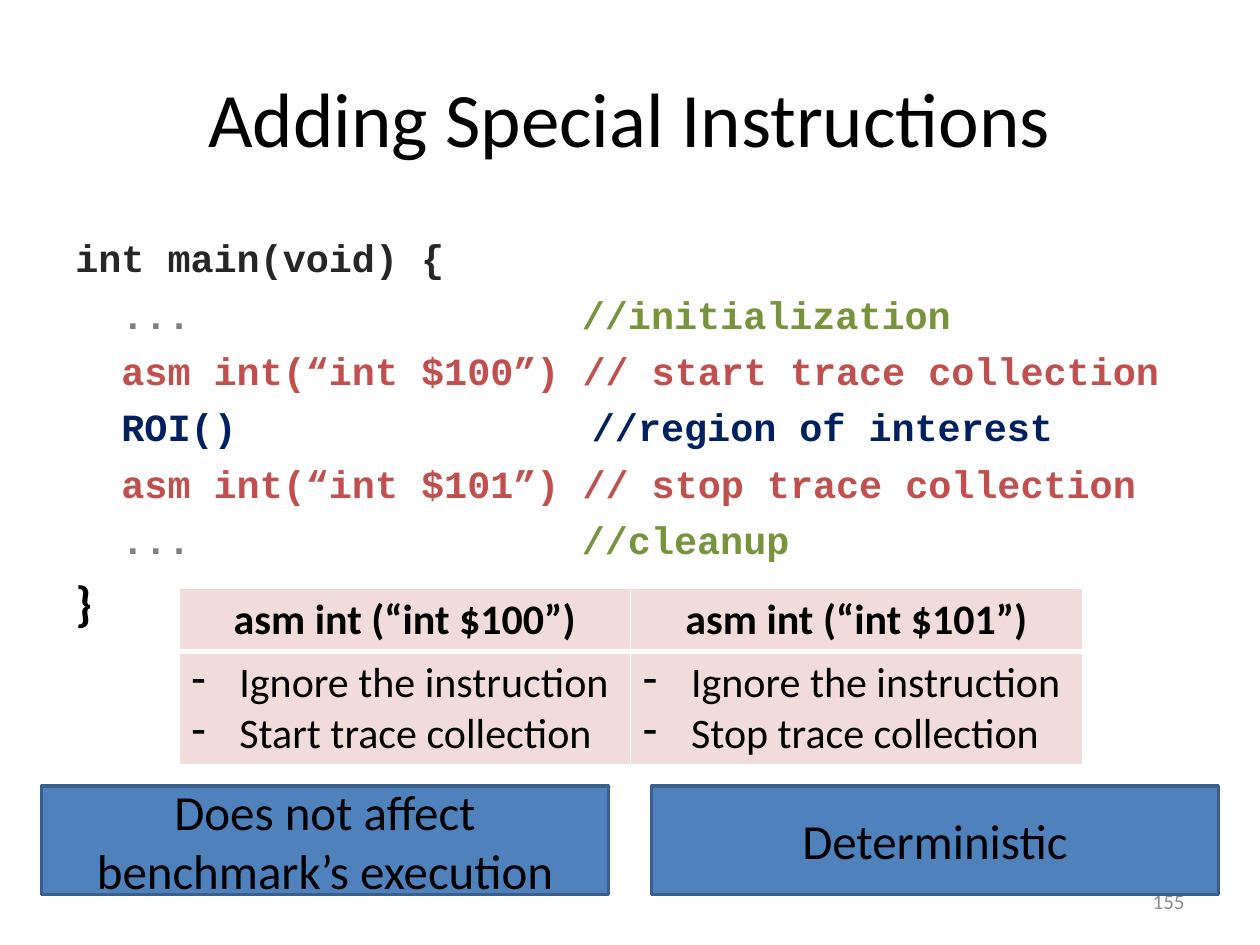
import pptx
import pptx.dml.color
import pptx.enum.shapes
import pptx.enum.text
import pptx.oxml.ns
import pptx.util
from lxml import etree

Inches = pptx.util.Inches
Pt = pptx.util.Pt
ALIGN = pptx.enum.text.PP_ALIGN
MIDDLE = pptx.enum.text.MSO_ANCHOR.MIDDLE

BLACK, CODE, GREY, GREEN = "000000", "262626", "808080", "77933C"
RED, NAVY, PINK, BLUE = "C0504D", "002060", "F2DCDB", "4F81BD"

CODE_LINES = [
    ([("int main(void) {", CODE)], None),
    ([("  ...\t", GREY), ("//initialization", GREEN)], 4.02),
    ([("  asm int(“int $100”) // start trace collection", RED)], None),
    ([("  ROI()\t//region of interest", NAVY)], 4.1),
    ([("  asm int(“int $101”) // stop trace collection", RED)], None),
    ([("  ...\t", GREY), ("//cleanup", GREEN)], 4.02),
    ([("}", BLACK)], None),
]
INSTRUCTIONS = [
    ("asm int (“int $100”)", ["Ignore the instruction", "Start trace collection"]),
    ("asm int (“int $101”)", ["Ignore the instruction", "Stop trace collection"]),
]
PROPERTIES = ["Does not affect benchmark’s execution", "Deterministic"]


def rgb(colour):
    """Turn a hex string into a colour."""
    return pptx.dml.color.RGBColor.from_string(colour)


def add_element(parent, tag, **attributes):
    """Append a DrawingML element to its parent."""
    return etree.SubElement(parent, pptx.oxml.ns.qn(tag), attributes)


def style(font, size, colour=BLACK, name="Calibri", bold=False):
    """Set the size, colour, family and weight of a font."""
    font.size = Pt(size)
    font.name = name
    font.bold = bold
    font.color.rgb = rgb(colour)


def write_title(slide, box, title):
    """Move and format the title placeholder."""
    heading = slide.shapes.title
    heading.left, heading.top, heading.width, heading.height = map(Inches, box)
    frame = heading.text_frame
    frame.text = title
    frame.vertical_anchor = MIDDLE
    frame.paragraphs[0].alignment = ALIGN.CENTER
    style(frame.paragraphs[0].runs[0].font, 44)


def add_listing(slide, box, lines):
    """Place the code listing with its comments on tab stops."""
    frame = slide.shapes.add_textbox(*map(Inches, box)).text_frame
    frame.word_wrap = True
    frame.margin_top = Inches(0.11)
    for index, (pieces, comment_stop) in enumerate(lines):
        line = frame.paragraphs[0] if index == 0 else frame.add_paragraph()
        if index:
            line.space_before = Pt(5.8)
        if comment_stop:
            tabs = add_element(line._p.get_or_add_pPr(), "a:tabLst")
            add_element(tabs, "a:tab", pos=str(Inches(comment_stop)), algn="l")
        for text, colour in pieces:
            piece = line.add_run()
            piece.text = text
            style(piece.font, 22, colour, "Courier New", True)
    style(frame.paragraphs[-1].runs[0].font, 28, bold=True)


def add_page_number(slide, box, number):
    """Place the page number at the lower right."""
    frame = slide.shapes.add_textbox(*map(Inches, box)).text_frame
    frame.word_wrap = True
    frame.vertical_anchor = MIDDLE
    frame.text = number
    frame.paragraphs[0].alignment = ALIGN.RIGHT
    style(frame.paragraphs[0].runs[0].font, 12, "8C8C8C")


def format_cell(cell, top_width, bottom_width):
    """Give a cell white borders and a pink fill."""
    properties = cell._tc.get_or_add_tcPr()
    widths = {"a:lnL": 1, "a:lnR": 1, "a:lnT": top_width, "a:lnB": bottom_width}
    for side, width in widths.items():
        border = add_element(properties, side, w=str(Pt(width)))
        add_element(add_element(border, "a:solidFill"), "a:srgbClr", val="FFFFFF")
    cell.fill.solid()
    cell.fill.fore_color.rgb = rgb(PINK)


def add_instruction_table(slide, box, instructions):
    """Place the table that explains each special instruction."""
    left, top, width, height = box
    table = slide.shapes.add_table(2, len(instructions), *map(Inches, box)).table
    table.horz_banding = False
    table.first_row = False
    header_height = 0.5
    table.rows[0].height = Inches(header_height)
    table.rows[1].height = Inches(height - header_height)
    for column, (name, actions) in enumerate(instructions):
        table.columns[column].width = Inches(width / len(instructions))
        header, body = table.cell(0, column), table.cell(1, column)
        format_cell(header, 1, 3)
        format_cell(body, 3, 1)
        header.text_frame.text = name
        header.text_frame.paragraphs[0].alignment = ALIGN.CENTER
        style(header.text_frame.paragraphs[0].runs[0].font, 24, bold=True)
        body.text_frame.text = "\n".join(actions)
        for action in body.text_frame.paragraphs:
            properties = action._p.get_or_add_pPr()
            properties.set("marL", str(Inches(0.38)))
            properties.set("indent", str(-Inches(0.38)))
            add_element(properties, "a:buChar", char="-")
            style(action.runs[0].font, 24)


def add_property_boxes(slide, box, properties, gap):
    """Place equal boxes side by side, one for each property."""
    left, top, width, height = box
    box_width = (width - gap * (len(properties) - 1)) / len(properties)
    for index, text in enumerate(properties):
        panel = slide.shapes.add_shape(
            pptx.enum.shapes.MSO_SHAPE.RECTANGLE,
            Inches(left + index * (box_width + gap)), Inches(top),
            Inches(box_width), Inches(height))
        panel.shadow.inherit = False
        panel.fill.solid()
        panel.fill.fore_color.rgb = rgb(BLUE)
        panel.line.color.rgb = rgb("3A5F8C")
        panel.line.width = Pt(2)
        frame = panel.text_frame
        frame.word_wrap = True
        frame.vertical_anchor = MIDDLE
        frame.text = text
        frame.paragraphs[0].alignment = ALIGN.CENTER
        style(frame.paragraphs[0].runs[0].font, 28)


def main():
    """Build the slide and save it."""
    deck = pptx.Presentation()
    deck.slide_width, deck.slide_height = Inches(10), Inches(7.5)
    slide = deck.slides.add_slide(deck.slide_layouts.get_by_name("Title Only"))
    write_title(slide, (0.5, 0.3, 9, 1.25), "Adding Special Instructions")
    add_listing(slide, (0.5, 1.75, 9.17, 4.95), CODE_LINES)
    add_page_number(slide, (7.17, 6.95, 2.33, 0.4), "155")
    add_instruction_table(slide, (1.42, 4.67, 7.17, 1.4), INSTRUCTIONS)
    add_property_boxes(slide, (0.33, 6.24, 9.34, 0.86), PROPERTIES, 0.34)
    deck.save("out.pptx")


if __name__ == "__main__":
    main()
